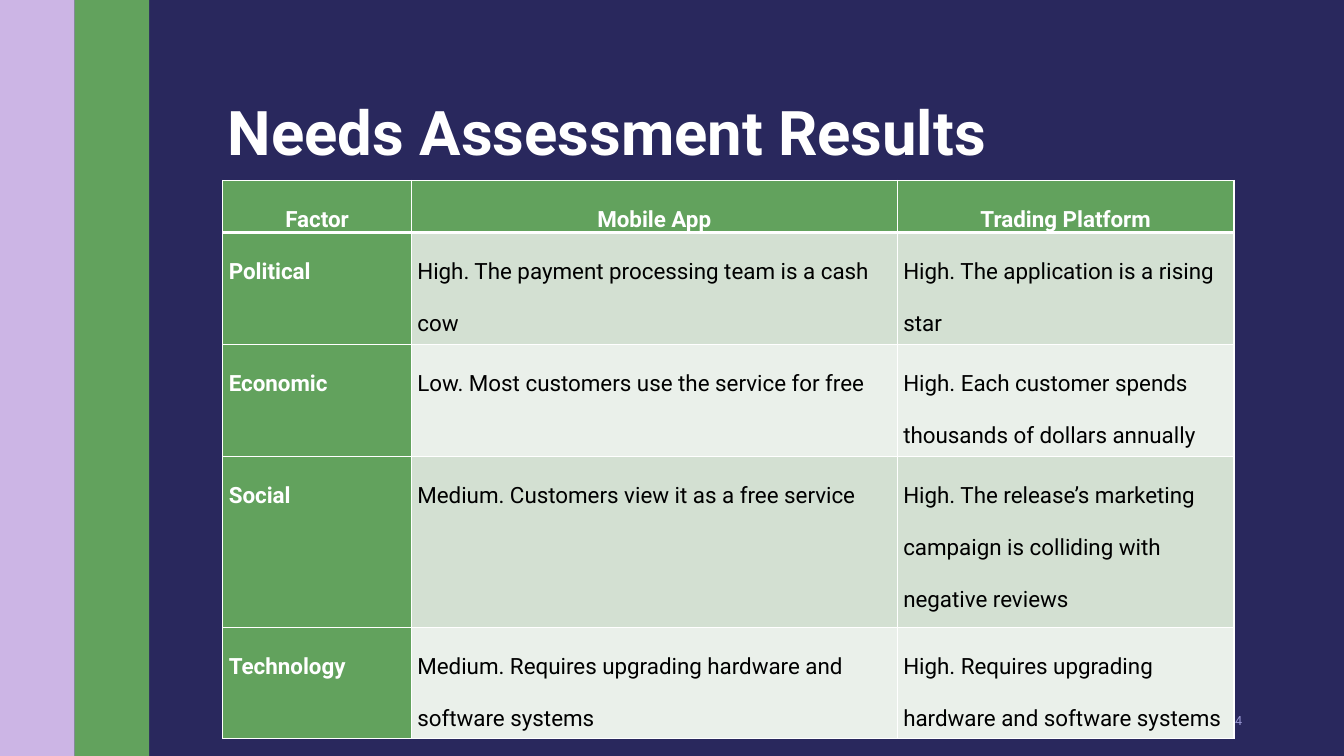
from dataclasses import dataclass

from lxml import etree
from pptx import Presentation
from pptx.dml.color import RGBColor
from pptx.enum.shapes import MSO_SHAPE
from pptx.enum.text import MSO_ANCHOR, MSO_AUTO_SIZE, PP_ALIGN
from pptx.oxml.ns import qn
from pptx.util import Emu, Pt

RECTANGLE = MSO_SHAPE.RECTANGLE
LEFT, CENTER, RIGHT = PP_ALIGN.LEFT, PP_ALIGN.CENTER, PP_ALIGN.RIGHT
TOP, MIDDLE, BOTTOM = MSO_ANCHOR.TOP, MSO_ANCHOR.MIDDLE, MSO_ANCHOR.BOTTOM
NO_AUTOFIT = MSO_AUTO_SIZE.NONE

EMU_PER_PX = 9144  # 100 px to the inch
FONT = "Roboto"
NAVY, GREEN, LILAC = "29285D", "62A25D", "CCB5E5"
WHITE, BLACK, MUTED = "FFFFFF", "000000", "9796D2"
ROW_BANDS = ("D3E0D2", "EAF0EA")

COLUMN_WIDTHS = (187, 482, 334)
ROW_HEIGHTS = (51, 111, 111, 170, 110)
ROWS = (
    ("Factor", "Mobile App", "Trading Platform"),
    ("Political", "High. The payment processing team is a cash cow",
     "High. The application is a rising star"),
    ("Economic", "Low. Most customers use the service for free",
     "High. Each customer spends thousands of dollars annually"),
    ("Social", "Medium. Customers view it as a free service",
     "High. The release’s marketing campaign is colliding with negative reviews"),
    ("Technology", "Medium. Requires upgrading hardware and software systems",
     "High. Requires upgrading hardware and software systems"),
)


@dataclass
class Box:
    left: int
    top: int
    width: int
    height: int

    def emu(self) -> tuple:
        return tuple(px(n) for n in (self.left, self.top, self.width, self.height))


@dataclass
class Stripe:
    box: Box
    color: str


@dataclass
class TextStyle:
    size: int
    color: str
    bold: bool = False
    align: PP_ALIGN = LEFT
    line_spacing: float = 1.0


STRIPES = (
    Stripe(Box(0, 0, 74, 750), LILAC),
    Stripe(Box(74, 0, 74, 750), GREEN),
)
TITLE_BOX = Box(216, 27, 1020, 145)
NUMBER_BOX = Box(1068, 695, 174, 40)
TABLE_BOX = Box(221, 179, sum(COLUMN_WIDTHS), sum(ROW_HEIGHTS))

TITLE_STYLE = TextStyle(44, WHITE, bold=True, line_spacing=0.9)
NUMBER_STYLE = TextStyle(9, MUTED, align=RIGHT)
HEADER_STYLE = TextStyle(16, WHITE, bold=True, align=CENTER, line_spacing=2.0)
FACTOR_STYLE = TextStyle(16, WHITE, bold=True, line_spacing=2.0)
BODY_STYLE = TextStyle(16, BLACK, line_spacing=2.0)


def px(length: int) -> Emu:
    return Emu(length * EMU_PER_PX)


def rgb(color: str) -> RGBColor:
    return RGBColor.from_string(color)


def write(text_frame, text: str, style: TextStyle) -> None:
    text_frame.text = text
    for paragraph in text_frame.paragraphs:
        paragraph.alignment = style.align
        paragraph.line_spacing = style.line_spacing
        for run in paragraph.runs:
            run.font.name = FONT
            run.font.size = Pt(style.size)
            run.font.bold = style.bold
            run.font.color.rgb = rgb(style.color)


def add_stripe(slide, stripe: Stripe) -> None:
    shape = slide.shapes.add_shape(RECTANGLE, *stripe.box.emu())
    shape.shadow.inherit = False
    shape.fill.solid()
    shape.fill.fore_color.rgb = rgb(stripe.color)
    shape.line.fill.background()


def place_text(shape, box: Box, text: str, style: TextStyle, anchor: MSO_ANCHOR) -> None:
    shape.left, shape.top, shape.width, shape.height = box.emu()
    text_frame = shape.text_frame
    text_frame.word_wrap = True
    text_frame.auto_size = NO_AUTOFIT
    text_frame.vertical_anchor = anchor
    write(text_frame, text, style)


def add_border(cell, side: str, points: int) -> None:
    line = etree.SubElement(cell._tc.get_or_add_tcPr(), qn(f"a:ln{side}"), w=str(Pt(points)))
    fill = etree.SubElement(line, qn("a:solidFill"))
    etree.SubElement(fill, qn("a:srgbClr"), val=WHITE)


def format_cell(cell, row: int, column: int) -> None:
    # Borders come before the fill in the cell properties
    thick_sides = {0: "B", 1: "T"}
    for side in "LRTB":
        add_border(cell, side, 3 if thick_sides.get(row) == side else 1)
    cell.fill.solid()
    is_body = row > 0 and column > 0
    cell.fill.fore_color.rgb = rgb(ROW_BANDS[(row - 1) % 2] if is_body else GREEN)
    cell.margin_left = cell.margin_right = px(6)
    cell.margin_top = cell.margin_bottom = 0
    cell.vertical_anchor = TOP
    style = HEADER_STYLE if row == 0 else BODY_STYLE if is_body else FACTOR_STYLE
    write(cell.text_frame, ROWS[row][column], style)


def add_factor_table(slide) -> None:
    table = slide.shapes.add_table(len(ROWS), len(COLUMN_WIDTHS), *TABLE_BOX.emu()).table
    for column, width in zip(table.columns, COLUMN_WIDTHS):
        column.width = px(width)
    for row, height in zip(table.rows, ROW_HEIGHTS):
        row.height = px(height)
    for row in range(len(ROWS)):
        for column in range(len(COLUMN_WIDTHS)):
            format_cell(table.cell(row, column), row, column)


def main() -> None:
    presentation = Presentation()
    presentation.slide_width, presentation.slide_height = px(1333), px(750)
    slide = presentation.slides.add_slide(presentation.slide_layouts.get_by_name("Title Only"))

    # Background and side stripes
    slide.background.fill.solid()
    slide.background.fill.fore_color.rgb = rgb(NAVY)
    for stripe in STRIPES:
        add_stripe(slide, stripe)

    # Title and slide number
    place_text(slide.shapes.title, TITLE_BOX, "Needs Assessment Results", TITLE_STYLE, BOTTOM)
    number = slide.shapes.add_textbox(*NUMBER_BOX.emu())
    place_text(number, NUMBER_BOX, "4", NUMBER_STYLE, MIDDLE)

    # Factor table
    add_factor_table(slide)
    presentation.save("out.pptx")


if __name__ == "__main__":
    main()
